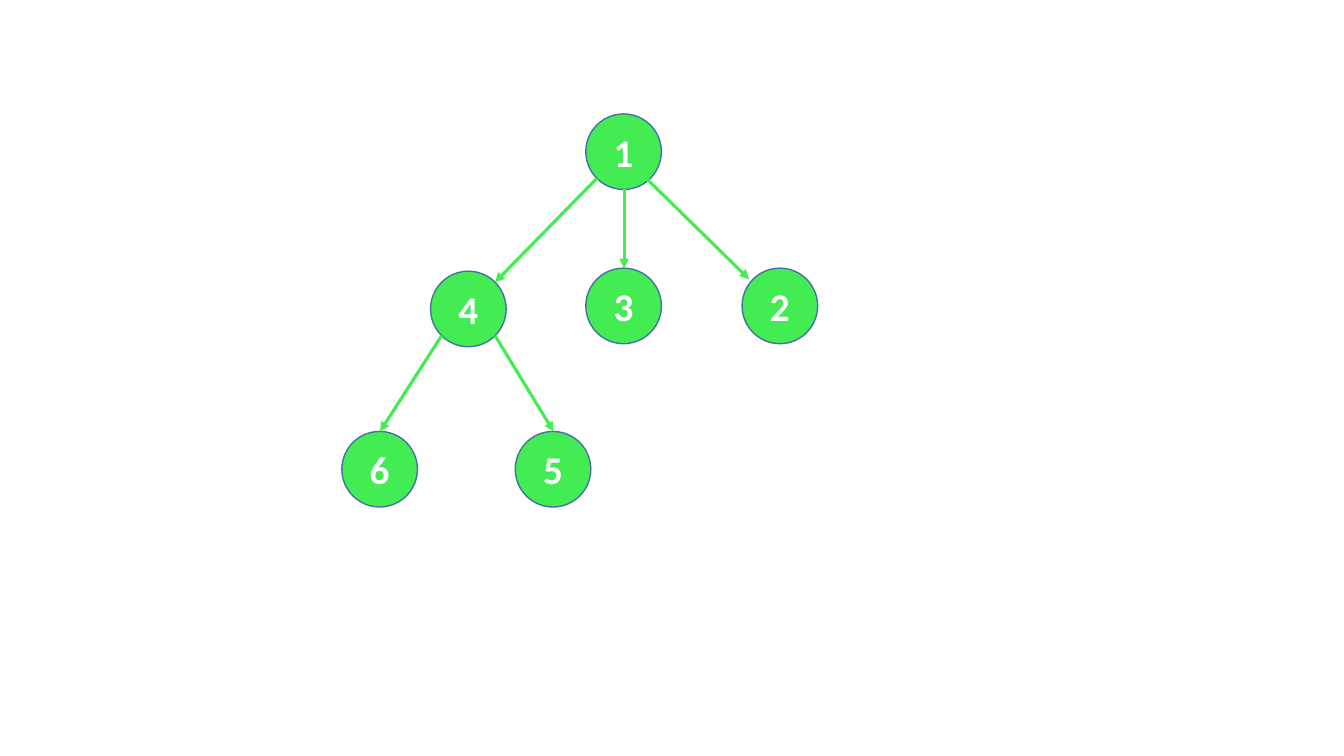
from dataclasses import dataclass

from lxml.etree import SubElement
from pptx import Presentation
from pptx.dml.color import RGBColor
from pptx.enum.shapes import MSO_CONNECTOR, MSO_SHAPE
from pptx.enum.text import MSO_ANCHOR, PP_ALIGN
from pptx.oxml.ns import qn
from pptx.util import Emu, Pt


@dataclass(frozen=True)
class Theme:
    """Colours, type and measures of the tree."""
    green: RGBColor = RGBColor(0x44, 0xEC, 0x54)
    outline: RGBColor = RGBColor(0x43, 0x73, 0x9E)
    white: RGBColor = RGBColor(0xFF, 0xFF, 0xFF)
    font: str = "Calibri"
    label_size: int = 28
    outline_width: float = 1
    arrow_width: float = 2.25
    diameter: int = 75


SITES = {
    "top": (0.5, 0),
    "top right": (0.85, 0.15),
    "top left": (0.15, 0.15),
    "bottom": (0.5, 1),
    "bottom left": (0.15, 0.85),
    "bottom right": (0.85, 0.85),
}

NODES = {
    "1": (581, 113),
    "2": (736, 266),
    "3": (581, 266),
    "4": (427, 269),
    "5": (511, 428),
    "6": (339, 428),
}

EDGES = [
    ("1", "bottom left", "4", "top right", 0),
    ("4", "bottom left", "6", "top", 0),
    ("4", "bottom right", "5", "top", 0),
    ("1", "bottom", "3", "top", 0),
    ("1", "bottom right", "2", "top left", -4),
]


class TreeSlide:
    """Draws circles and arrows on one slide, at 100 px to the inch."""

    def __init__(self, slide, theme):
        self.slide = slide
        self.theme = theme

    @staticmethod
    def px(length):
        """Turn px into EMU."""
        return Emu(length * 9144)

    def node(self, label, left, top):
        """Add a labelled circle."""
        theme = self.theme
        size = self.px(theme.diameter)
        shape = self.slide.shapes.add_shape(
            MSO_SHAPE.OVAL, self.px(left), self.px(top), size, size)
        shape.shadow.inherit = False
        shape.fill.solid()
        shape.fill.fore_color.rgb = theme.green
        shape.line.color.rgb = theme.outline
        shape.line.width = Pt(theme.outline_width)
        shape.text_frame.vertical_anchor = MSO_ANCHOR.MIDDLE
        paragraph = shape.text_frame.paragraphs[0]
        paragraph.text = label
        paragraph.alignment = PP_ALIGN.CENTER
        paragraph.font.name = theme.font
        paragraph.font.size = Pt(theme.label_size)
        paragraph.font.bold = True
        paragraph.font.color.rgb = theme.white

    def site(self, label, name, shift):
        """Find a point on the rim of a node."""
        left, top = NODES[label]
        across, down = SITES[name]
        diameter = self.theme.diameter
        return (self.px(left + round(across * diameter) + shift),
                self.px(top + round(down * diameter)))

    def arrow(self, parent, start, child, end, shift):
        """Add an arrow from a parent to a child."""
        connector = self.slide.shapes.add_connector(
            MSO_CONNECTOR.STRAIGHT,
            *self.site(parent, start, shift), *self.site(child, end, shift))
        connector.line.color.rgb = self.theme.green
        connector.line.width = Pt(self.theme.arrow_width)
        SubElement(connector.line._get_or_add_ln(), qn("a:tailEnd"), type="triangle")
        SubElement(connector._element.spPr, qn("a:effectLst"))


def main():
    """Build and save the tree slide."""
    presentation = Presentation()
    presentation.slide_width = TreeSlide.px(1333)
    presentation.slide_height = TreeSlide.px(750)
    slide = presentation.slides.add_slide(presentation.slide_layouts[6])
    tree = TreeSlide(slide, Theme())
    for label, (left, top) in NODES.items():
        tree.node(label, left, top)
    for edge in EDGES:
        tree.arrow(*edge)
    presentation.save("out.pptx")


if __name__ == "__main__":
    main()
